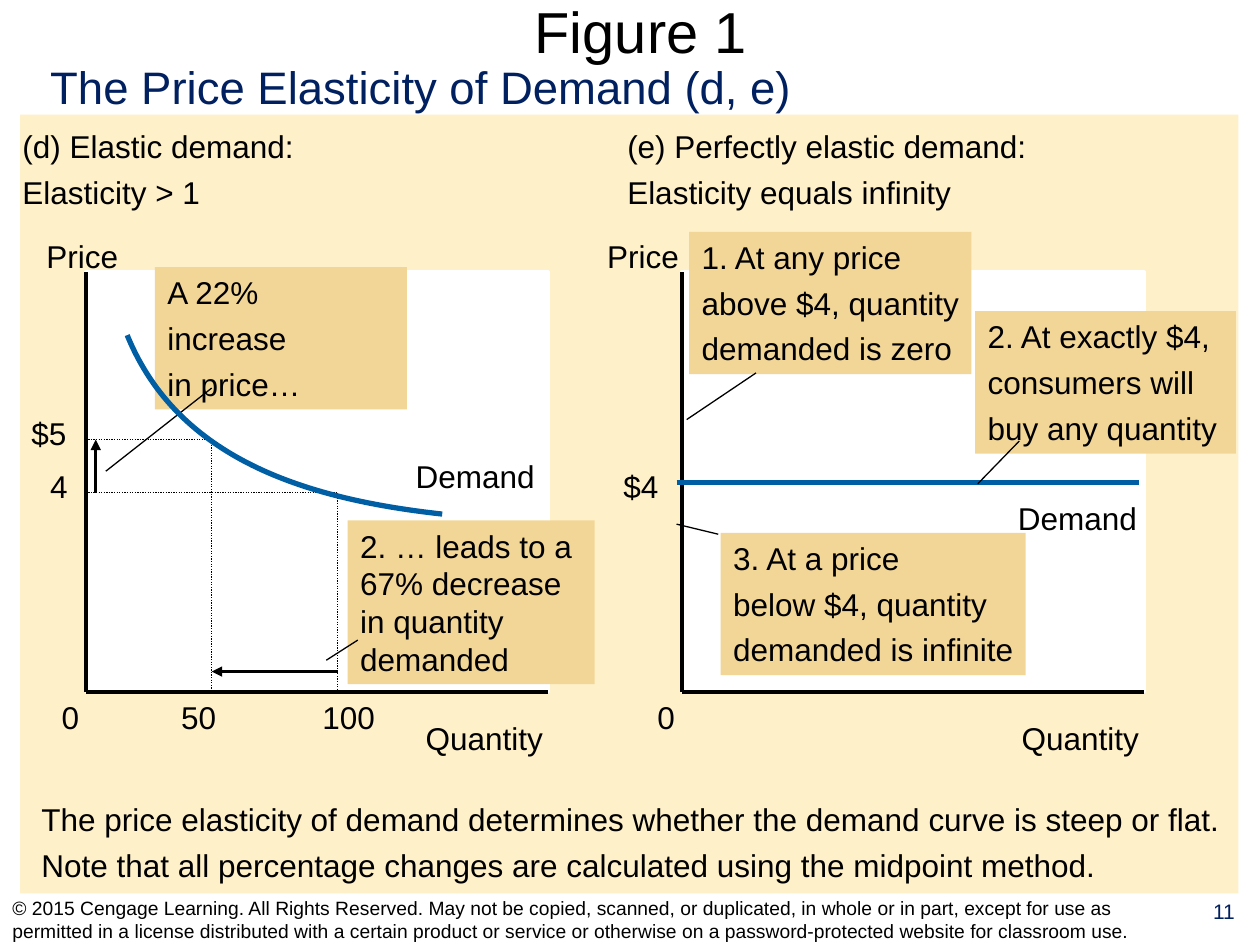
from lxml.etree import SubElement
from pptx import Presentation
from pptx.dml.color import RGBColor
from pptx.enum.dml import MSO_LINE
from pptx.enum.shapes import MSO_CONNECTOR, MSO_SHAPE
from pptx.enum.text import MSO_ANCHOR, PP_ALIGN
from pptx.oxml.ns import qn
from pptx.util import Pt

PX = 9144  # 100 px to the inch
BLACK, WHITE, NAVY, BLUE = "000000", "FFFFFF", "002060", "005EA4"
CREAM, SAND = "FEF0C8", "F2D698"
PLOT_WIDTH, PLOT_HEIGHT = 367, 333
LABEL_HEIGHT = 40


def color(hex_value):
    return RGBColor.from_string(hex_value)


def emu(*lengths):
    return [length * PX for length in lengths]


def write(shape, lines, size=18, ink=BLACK, align=PP_ALIGN.LEFT,
          anchor=MSO_ANCHOR.TOP, wrap=False, margins=(10, 5)):
    """Fill a shape with one paragraph for each line."""
    frame = shape.text_frame
    side, end = emu(*margins)
    layout = {"word_wrap": wrap, "vertical_anchor": anchor,
              "margin_left": side, "margin_right": side,
              "margin_top": end, "margin_bottom": end}
    for name, value in layout.items():
        setattr(frame, name, value)
    for index, line in enumerate(lines):
        para = frame.paragraphs[0] if index == 0 else frame.add_paragraph()
        para.alignment = align
        if index:
            para.space_before = Pt(size / 4)
        span = para.add_run()
        span.text = line
        for name, value in {"name": "Arial", "size": Pt(size)}.items():
            setattr(span.font, name, value)
        span.font.color.rgb = color(ink)


def add_text(page, box, *lines, **style):
    write(page.shapes.add_textbox(*emu(*box)), lines, **style)


def add_label(page, left, top, width, text):
    add_text(page, (left, top, width, LABEL_HEIGHT), text)


def add_rectangle(page, box, fill, outline=None):
    shape = page.shapes.add_shape(MSO_SHAPE.RECTANGLE, *emu(*box))
    shape.shadow.inherit = False
    shape.fill.solid()
    shape.fill.fore_color.rgb = color(fill)
    if outline:
        shape.line.color.rgb = color(outline)
        shape.line.width = Pt(2)
    else:
        shape.line.fill.background()
    return shape


def add_line(page, start, end, width=0.75, ink=BLACK, dotted=False, arrow=False):
    line = page.shapes.add_connector(MSO_CONNECTOR.STRAIGHT, *emu(*start, *end))
    line.line.width = Pt(width)
    line.line.color.rgb = color(ink)
    if dotted:
        line.line.dash_style = MSO_LINE.ROUND_DOT
    if arrow:
        SubElement(line.line._get_or_add_ln(), qn("a:tailEnd"), type="triangle")
    SubElement(line._element.spPr, qn("a:effectLst"))


def add_curve(page, start, *controls):
    """Draw one cubic Bezier curve through its control points."""
    builder = page.shapes.build_freeform(*start, scale=PX)
    builder.add_line_segments(controls, close=False)
    curve = builder.convert_to_shape()
    curve.shadow.inherit = False
    curve.fill.background()
    curve.line.color.rgb = color(BLUE)
    curve.line.width = Pt(3)
    segments = list(curve._element.iter(qn("a:lnTo")))
    bezier = SubElement(segments[0].getparent(), qn("a:cubicBezTo"))
    for segment in segments:
        bezier.append(segment[0])
        segment.getparent().remove(segment)


def add_callout(page, box, lines, leader, wrap=False):
    write(add_rectangle(page, box, SAND), lines, wrap=wrap)
    add_line(page, *leader)


def add_axes(page, left, top, price_offset):
    right, bottom = left + PLOT_WIDTH, top + PLOT_HEIGHT
    add_rectangle(page, (left, top, PLOT_WIDTH, PLOT_HEIGHT), WHITE, WHITE)
    add_line(page, (left, top), (left, bottom), 2.25)
    add_line(page, (left, bottom), (right, bottom), 2.25)
    add_label(page, left + price_offset, top - 33, 84, "Price")
    add_label(page, right - 107, bottom + 17, 120, "Quantity")
    add_label(page, left - 29, bottom, 36, "0")


def add_elastic_panel(page, left, top):
    def at(x, y):
        return left + x, top + y

    add_text(page, (*at(-60, -120), 317, 77),
             "(d) Elastic demand:", "Elasticity > 1", wrap=True)
    add_axes(page, left, top, -41)
    # Price label, its left and width; quantity label, its left and width
    points = [(100, 133, ("$5", -53, 50), ("50", 66, 50)),
              (200, 175, ("4", -38, 36), ("100", 178, 70))]
    for x, y, price, quantity in points:
        add_line(page, at(0, y), at(x, y), dotted=True)
        add_line(page, at(x, y), at(x, PLOT_HEIGHT), dotted=True)
        for (text, offset, width), label_top in ((price, y - 25),
                                                 (quantity, PLOT_HEIGHT)):
            add_label(page, *at(offset, label_top), width, text)
    add_line(page, at(8, 175), at(8, 133), 1.5, arrow=True)
    add_callout(page, (*at(55, -4), 200, 113), ["A 22%", "increase", "in price…"],
                (at(16, 158), at(100, 92)), wrap=True)
    add_callout(page, (*at(208, 197), 196, 130),
                ["2. … leads to a 67% decrease in quantity demanded"],
                (at(191, 308), at(216, 292)), wrap=True)
    add_label(page, *at(252, 142), 121, "Demand")
    add_curve(page, at(33, 50), at(73, 148), at(174, 180), at(283, 192))
    add_line(page, at(200, 317), at(100, 317), 1.5, arrow=True)


def add_perfectly_elastic_panel(page, left, top):
    def at(x, y):
        return left + x, top + y

    add_text(page, (*at(-53, -120), 419, 77),
             "(e) Perfectly elastic demand:", "Elasticity equals infinity", wrap=True)
    add_axes(page, left, top, -69)
    add_line(page, at(-4, 167), at(363, 167), 3, BLUE)
    add_label(page, *at(257, 175), 121, "Demand")
    add_label(page, *at(-56, 150), 50, "$4")
    callouts = [
        (6, -32, 224, ["1. At any price", "above $4, quantity", "demanded is zero"],
         (4, 117), (59, 80)),
        (233, 31, 207, ["2. At exactly $4,", "consumers will", "buy any quantity"],
         (235, 168), (268, 134)),
        (31, 207, 242, ["3. At a price", "below $4, quantity", "demanded is infinite"],
         (-4, 200), (29, 208)),
    ]
    for x, y, width, lines, start, end in callouts:
        add_callout(page, (*at(x, y), width, 113), lines, (at(*start), at(*end)))


def add_headings(page):
    add_text(page, (35, 0, 947, 49), "Figure 1", size=33, align=PP_ALIGN.CENTER,
             anchor=MSO_ANCHOR.MIDDLE, wrap=True, margins=(0, 0))
    add_text(page, (30, 42, 609, 54), "The Price Elasticity of Demand (d, e)",
             size=26, ink=NAVY)


def add_footer(page):
    add_text(page, (943, 708, 57, 41), "11", size=12, ink=NAVY,
             align=PP_ALIGN.CENTER, wrap=True)
    add_text(page, (0, 710, 942, 40),
             "© 2015 Cengage Learning. All Rights Reserved. May not be copied, "
             "scanned, or duplicated, in whole or in part, except for use as "
             "permitted in a license distributed with a certain product or service "
             "or otherwise on a password-protected website for classroom use.",
             size=11, anchor=MSO_ANCHOR.MIDDLE, wrap=True)


def main():
    deck = Presentation()
    deck.slide_width, deck.slide_height = emu(1000, 750)
    page = deck.slides.add_slide(deck.slide_layouts[6])
    add_rectangle(page, (16, 91, 967, 618), CREAM)
    add_headings(page)
    add_elastic_panel(page, 68, 216)
    add_perfectly_elastic_panel(page, 541, 216)
    add_text(page, (23, 630, 955, 77),
             "The price elasticity of demand determines whether the demand curve "
             "is steep or flat.",
             "Note that all percentage changes are calculated using the midpoint method.")
    add_footer(page)
    deck.save("out.pptx")


if __name__ == "__main__":
    main()
